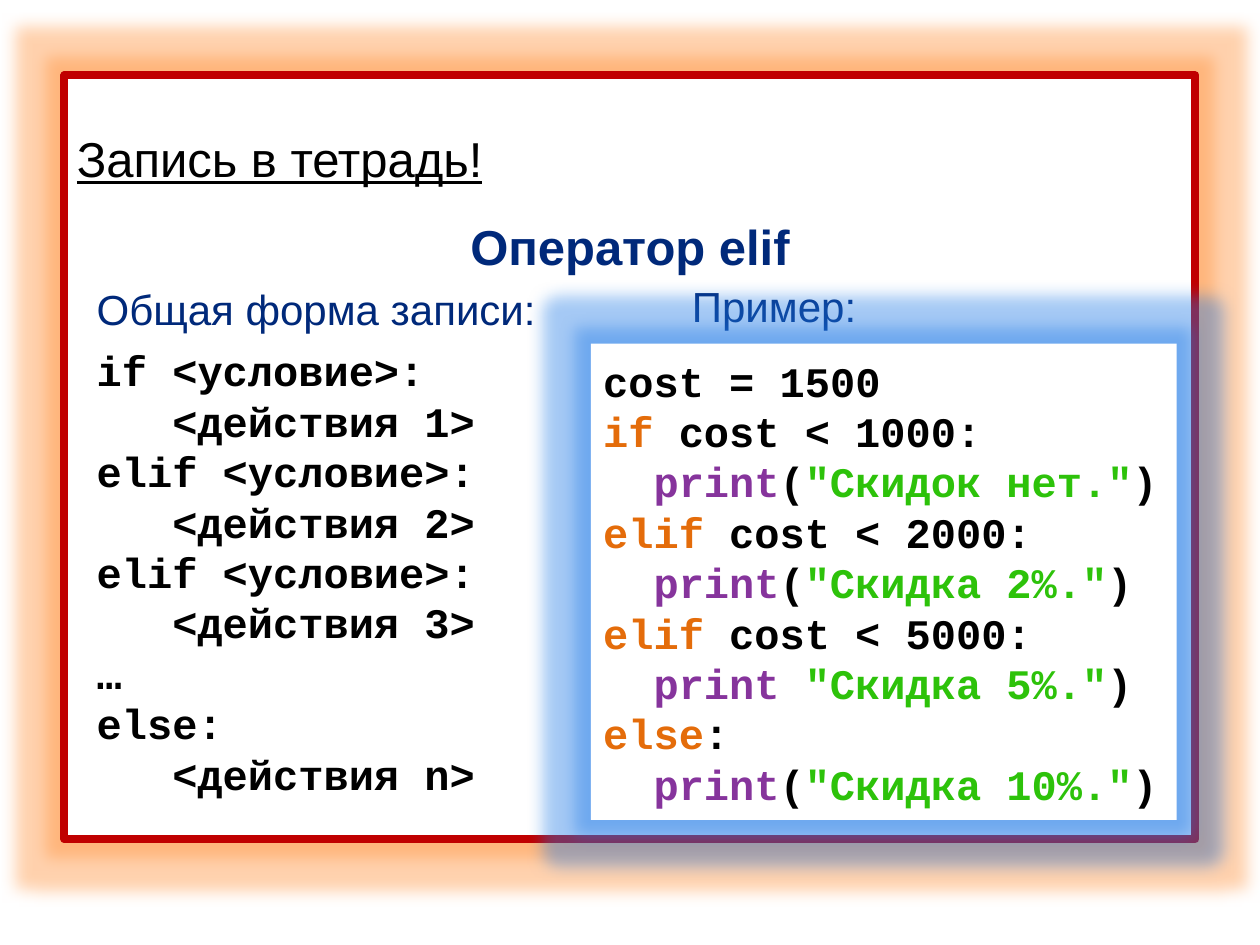
from lxml.etree import SubElement
from pptx import Presentation
from pptx.dml.color import RGBColor
from pptx.enum.shapes import MSO_SHAPE
from pptx.enum.text import MSO_ANCHOR, PP_ALIGN
from pptx.oxml.ns import qn
from pptx.util import Cm, Pt

BLACK = RGBColor(0x00, 0x00, 0x00)
WHITE = RGBColor(0xFF, 0xFF, 0xFF)
RED = RGBColor(0xC0, 0x00, 0x00)
NAVY = RGBColor(0x00, 0x29, 0x7A)
KEYWORD = RGBColor(0xE4, 0x6C, 0x0A)
FUNCTION = RGBColor(0x86, 0x34, 0x9C)
STRING = RGBColor(0x2D, 0xC2, 0x0A)
ORANGE_GLOW = RGBColor(0xFF, 0x8E, 0x34)
BLUE_GLOW = RGBColor(0x1F, 0x7A, 0xE6)

GENERAL_FORM = [
    "if <условие>:",
    "   <действия 1>",
    "elif <условие>:",
    "   <действия 2>",
    "elif <условие>:",
    "   <действия 3>",
    "…",
    "else:",
    "   <действия n>",
]


def branch(keyword, condition):
    return [(keyword, KEYWORD), (condition, BLACK)]


def print_call(message, bracket="("):
    opening = [("print", FUNCTION), ("(", BLACK)] if bracket else [("print ", FUNCTION)]
    return [("  ", BLACK), *opening, (f'"{message}"', STRING), (")", BLACK)]


EXAMPLE = [
    [("cost = 1500", BLACK)],
    branch("if", " cost < 1000:"),
    print_call("Скидок нет."),
    branch("elif", " cost < 2000:"),
    print_call("Скидка 2%."),
    branch("elif", " cost < 5000:"),
    print_call("Скидка 5%.", bracket=""),
    branch("else", ":"),
    print_call("Скидка 10%."),
]


def add_glow(shape, color):
    effects = shape._element.spPr.find(qn("a:effectLst"))
    glow = SubElement(effects, qn("a:glow"), rad=str(Pt(18)))
    glow_color = SubElement(glow, qn("a:srgbClr"), val=str(color))
    SubElement(glow_color, qn("a:alpha"), val="40000")


def add_panel(slide, left, top, width, height, glow, anchor):
    panel = slide.shapes.add_shape(
        MSO_SHAPE.RECTANGLE, Cm(left), Cm(top), Cm(width), Cm(height))
    panel.shadow.inherit = False
    panel.fill.solid()
    panel.fill.fore_color.rgb = WHITE
    panel.line.fill.background()
    panel.text_frame.vertical_anchor = anchor
    add_glow(panel, glow)
    return panel


def add_label_box(slide, left, top, width, height):
    box = slide.shapes.add_textbox(Cm(left), Cm(top), Cm(width), Cm(height))
    box.text_frame.word_wrap = True
    return box.text_frame


def add_line(frame, runs, size=24, name="Arial", bold=False):
    """Fill the first empty paragraph, or append one, with (text, color) runs."""
    first = frame.paragraphs[0]
    paragraph = first if not first.runs else frame.add_paragraph()
    paragraph.alignment = PP_ALIGN.LEFT
    paragraph.font.size = Pt(size)
    paragraph.font.name = name
    paragraph.font.bold = bold
    for text, color in runs:
        run = paragraph.add_run()
        run.text = text
        run.font.color.rgb = color
    return paragraph


def add_code(frame, lines):
    for runs in lines:
        add_line(frame, runs, name="Courier New", bold=True)


def main():
    presentation = Presentation()
    presentation.slide_width = Cm(25.4)
    presentation.slide_height = Cm(19.05)
    slide = presentation.slides.add_slide(presentation.slide_layouts[6])

    # Red frame with the headings
    panel = add_panel(slide, 1.3, 1.52, 22.8, 15.4, ORANGE_GLOW, MSO_ANCHOR.TOP)
    panel.line.color.rgb = RED
    panel.line.width = Pt(4.5)
    panel.text_frame.margin_top = Cm(0.47)
    note = add_line(panel.text_frame, [("Запись в тетрадь!", BLACK)], size=28)
    note.font.underline = True
    title = add_line(panel.text_frame, [("Оператор elif", NAVY)], size=28, bold=True)
    title.alignment = PP_ALIGN.CENTER
    for paragraph in (note, title):
        paragraph.line_spacing = 1.5

    # Example label
    add_line(add_label_box(slide, 13.7, 5.54, 4.8, 1.27), [("Пример:", NAVY)])

    # General form
    form = add_label_box(slide, 1.7, 5.6, 9.6, 10.72)
    add_line(form, [("Общая форма записи:", NAVY)]).space_after = Pt(6)
    add_code(form, [[(text, BLACK)] for text in GENERAL_FORM])

    # Example code
    example = add_panel(slide, 11.91, 6.93, 11.81, 9.6, BLUE_GLOW, MSO_ANCHOR.MIDDLE)
    add_code(example.text_frame, EXAMPLE)

    presentation.save("out.pptx")


if __name__ == "__main__":
    main()
